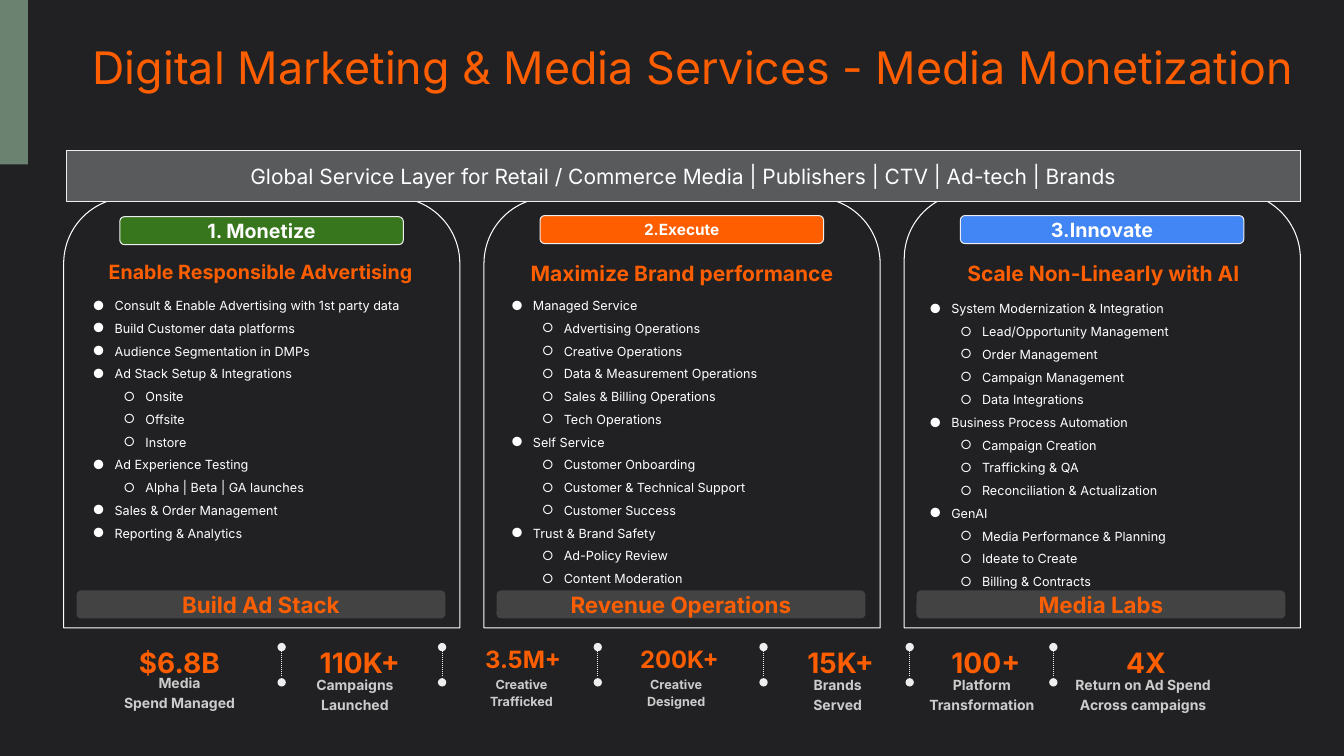
import pptx
import pptx.util
import pptx.dml.color
import pptx.enum.dml
import pptx.enum.shapes
import pptx.enum.text
import pptx.oxml
import pptx.oxml.ns
import lxml.etree

Pt = pptx.util.Pt
Shape = pptx.enum.shapes.MSO_SHAPE
Align = pptx.enum.text.PP_ALIGN
Anchor = pptx.enum.text.MSO_ANCHOR

COLORS = {
    "night": "212124", "sage": "6B8271", "orange": "FE5E00", "ember": "FD5E01",
    "white": "FFFFFF", "pale": "EEEEEE", "silver": "CCCCCC", "slate": "585A5C",
    "coal": "434343", "green": "38761D", "blue": "4285F4",
}


def color(name):
    return pptx.dml.color.RGBColor.from_string(COLORS[name])


def add_tag(parent, name, **attrs):
    return lxml.etree.SubElement(parent, pptx.oxml.ns.qn(name), attrs)


def write(para, text, size=9, ink="white", bold=False, align=Align.CENTER, lead=None):
    para.alignment = align
    para.space_before = para.space_after = Pt(0)
    if lead:
        para.line_spacing = lead
    run = para.add_run()
    run.text = text
    run.font.name = "Inter"
    run.font.size = Pt(size)
    run.font.bold = bold
    run.font.color.rgb = color(ink)


class Deck:
    font_pad = 4.5

    def __init__(self, slide):
        self.slide = slide
        self.shapes = slide.shapes

    def frame(self, shape, pads, anchor=Anchor.TOP):
        frame = shape.text_frame
        frame.word_wrap = True
        frame.auto_size = pptx.enum.text.MSO_AUTO_SIZE.NONE
        frame.vertical_anchor = anchor
        (frame.margin_left, frame.margin_top,
         frame.margin_right, frame.margin_bottom) = map(Pt, pads)
        return frame

    def place(self, shape, left, top, width, height):
        shape.left, shape.top = Pt(left), Pt(top)
        shape.width, shape.height = Pt(width), Pt(height)

    def title(self, text, *spot):
        shape = self.shapes.title
        self.place(shape, *spot)
        frame = self.frame(shape, [0] * 4)
        write(frame.paragraphs[0], text, size=32, ink="orange", align=Align.LEFT, lead=1.15)

    def list(self, index, groups, *spot):
        shape = self.slide.placeholders[index]
        self.place(shape, *spot)
        frame = self.frame(shape, [self.font_pad] * 4)
        rows = [(level, text) for head, subs in groups
                for level, text in [(0, head)] + [(1, sub) for sub in subs]]
        for i, (level, text) in enumerate(rows):
            para = frame.add_paragraph() if i else frame.paragraphs[0]
            para.level = level
            props = para._p.get_or_add_pPr()
            props.set("marL", str(Pt(22 + 22 * level)))
            props.set("indent", str(Pt(-15.5)))
            add_tag(add_tag(props, "a:buClr"), "a:srgbClr", val=COLORS["white"])
            add_tag(props, "a:buFont", typeface="Inter")
            add_tag(props, "a:buChar", char="●○"[level])
            write(para, text, align=Align.LEFT, lead=1.5)

    def box(self, kind, *spot, fill=None, line=None, rounds=(), text="", pad=4.5, **style):
        shape = self.shapes.add_shape(kind, *map(Pt, spot))
        shape.shadow.inherit = False
        for i, value in enumerate(rounds):
            shape.adjustments[i] = value
        if fill:
            shape.fill.solid()
            shape.fill.fore_color.rgb = color(fill)
        else:
            shape.fill.background()
        if line:
            shape.line.color.rgb = color(line)
            shape.line.width = Pt(0.75)
        else:
            shape.line.fill.background()
        if text:
            frame = self.frame(shape, [pad] * 4, Anchor.MIDDLE)
            write(frame.paragraphs[0], text, **style)

    def text(self, text, *spot, pads=(0, 3.6, 0, 0), **style):
        frame = self.frame(self.shapes.add_textbox(*map(Pt, spot)), pads)
        for i, row in enumerate(text.split("\n")):
            para = frame.add_paragraph() if i else frame.paragraphs[0]
            write(para, row, **style)

    def rule(self, left, top, low):
        line = self.shapes.add_connector(
            pptx.enum.shapes.MSO_CONNECTOR.STRAIGHT, Pt(left), Pt(top), Pt(left), Pt(low))
        line.line.color.rgb = color("pale")
        line.line.width = Pt(0.75)
        line.line.dash_style = pptx.enum.dml.MSO_LINE.ROUND_DOT
        stroke = line.line._get_or_add_ln()
        for end in ("a:headEnd", "a:tailEnd"):
            add_tag(stroke, end, type="oval")
        add_tag(line._element.spPr, "a:effectLst")


# Columns: tag, tag fill, tag size, heading, heading size, list top, card top, footer
COLUMNS = [
    ("1. Monetize", "green", 14, "Enable Responsible Advertising", 14, 203, 141,
     "Build Ad Stack", [
         ("Consult & Enable Advertising with 1st party data", []),
         ("Build Customer data platforms", []),
         ("Audience Segmentation in DMPs", []),
         ("Ad Stack Setup & Integrations", ["Onsite", "Offsite", "Instore"]),
         ("Ad Experience Testing", ["Alpha | Beta | GA launches"]),
         ("Sales & Order Management", []),
         ("Reporting & Analytics", [])]),
    ("2.Execute", "orange", 11, "Maximize Brand performance", 15, 203, 141,
     "Revenue Operations", [
         ("Managed Service", ["Advertising Operations", "Creative Operations",
                              "Data & Measurement Operations",
                              "Sales & Billing Operations", "Tech Operations"]),
         ("Self Service", ["Customer Onboarding", "Customer & Technical Support",
                           "Customer Success"]),
         ("Trust & Brand Safety", ["Ad-Policy Review", "Content Moderation"])]),
    ("3.Innovate", "blue", 14, "Scale Non-Linearly with AI", 15, 205.2, 137.5,
     "Media Labs", [
         ("System Modernization & Integration", [
             "Lead/Opportunity Management", "Order Management",
             "Campaign Management", "Data Integrations"]),
         ("Business Process Automation", ["Campaign Creation", "Trafficking & QA",
                                          "Reconciliation & Actualization"]),
         ("GenAI", ["Media Performance & Planning", "Ideate to Create",
                    "Billing & Contracts"])]),
]

# Figures: value, value middle, value size, label, label middle, label size
FIGURES = [
    ("$6.8B", 128.2, 20, "Media\nSpend Managed", 128.2, 10),
    ("110K+", 257, 20, "Campaigns\nLaunched", 253.5, 10),
    ("3.5M+", 373.7, 17, "Creative\nTrafficked", 372.5, 9),
    ("200K+", 485.3, 17, "Creative\nDesigned", 483, 9),
    ("15K+", 600.5, 20, "Brands\nServed", 598.3, 10),
    ("100+", 704.2, 20, "Platform\nTransformation", 701.3, 10),
    ("4X", 818.6, 20, "Return on Ad Spend Across campaigns", 816.5, 10),
]


def main():
    show = pptx.Presentation()
    show.slide_width, show.slide_height = Pt(960), Pt(540)
    slide = show.slides.add_slide(show.slide_layouts[4])
    slide.background.fill.solid()
    slide.background.fill.fore_color.rgb = color("night")
    deck = Deck(slide)

    # Title and side mark
    deck.title("Digital Marketing & Media Services - Media Monetization", 66.2, 22.3, 881.3, 44.6)
    deck.box(Shape.RECTANGLE, 0, 0, 20, 117.4, fill="sage")

    # Cards with headings and lists
    for i, (tag, fill, size, head, big, top, roof, foot, groups) in enumerate(COLUMNS):
        deck.box(Shape.ROUND_2_SAME_RECTANGLE, 45.5 + 300.2 * i, roof, 283, 448.5 - roof,
                 line="white", rounds=(0.167, 0))
        deck.text(head, 45.4 + 301 * i, 178.6, 281.5, 27, pads=[4.5] * 4,
                  size=big, ink="orange", bold=True, lead=1.17)
        deck.list(i + 1, groups, 55.4 + 298.8 * i, top, 263.5, 216)
        deck.box(Shape.ROUNDED_RECTANGLE, 85.6 + 300.2 * i, 154.8 if i == 0 else 154, 202.5, 20,
                 fill=fill, line="pale", rounds=[0.167], text=tag, size=size, bold=True)
        deck.box(Shape.ROUNDED_RECTANGLE, 54.7 + 300 * i, 421.8, 263.5, 20,
                 fill="coal", rounds=[0.167], text=foot, size=16, ink="ember", bold=True)
    spare = slide.placeholders[4]._element
    spare.getparent().remove(spare)

    # Service layer over the cards
    deck.box(Shape.RECTANGLE, 47.4, 107.4, 881.5, 36.5, fill="slate", line="pale", pad=0,
             text="Global Service Layer for Retail / Commerce Media | Publishers | CTV | Ad-tech | Brands",
             size=15)

    # Key figures and dotted rules
    for value, mid, size, label, base, small in FIGURES:
        deck.text(value, mid - 38, 453.6, 76, 27, size=size, ink="orange", bold=True, lead=1.15)
        deck.text(label, base - 54.7, 476.8 if mid == base else 478.1, 109.4, 29.5,
                  size=small, ink="silver", bold=True, lead=1.15)
    for left in (201.2, 315.8, 427, 545.4, 649.8, 752.4):
        deck.rule(left, 462.2, 487.4)

    show.save("out.pptx")


if __name__ == "__main__":
    main()
